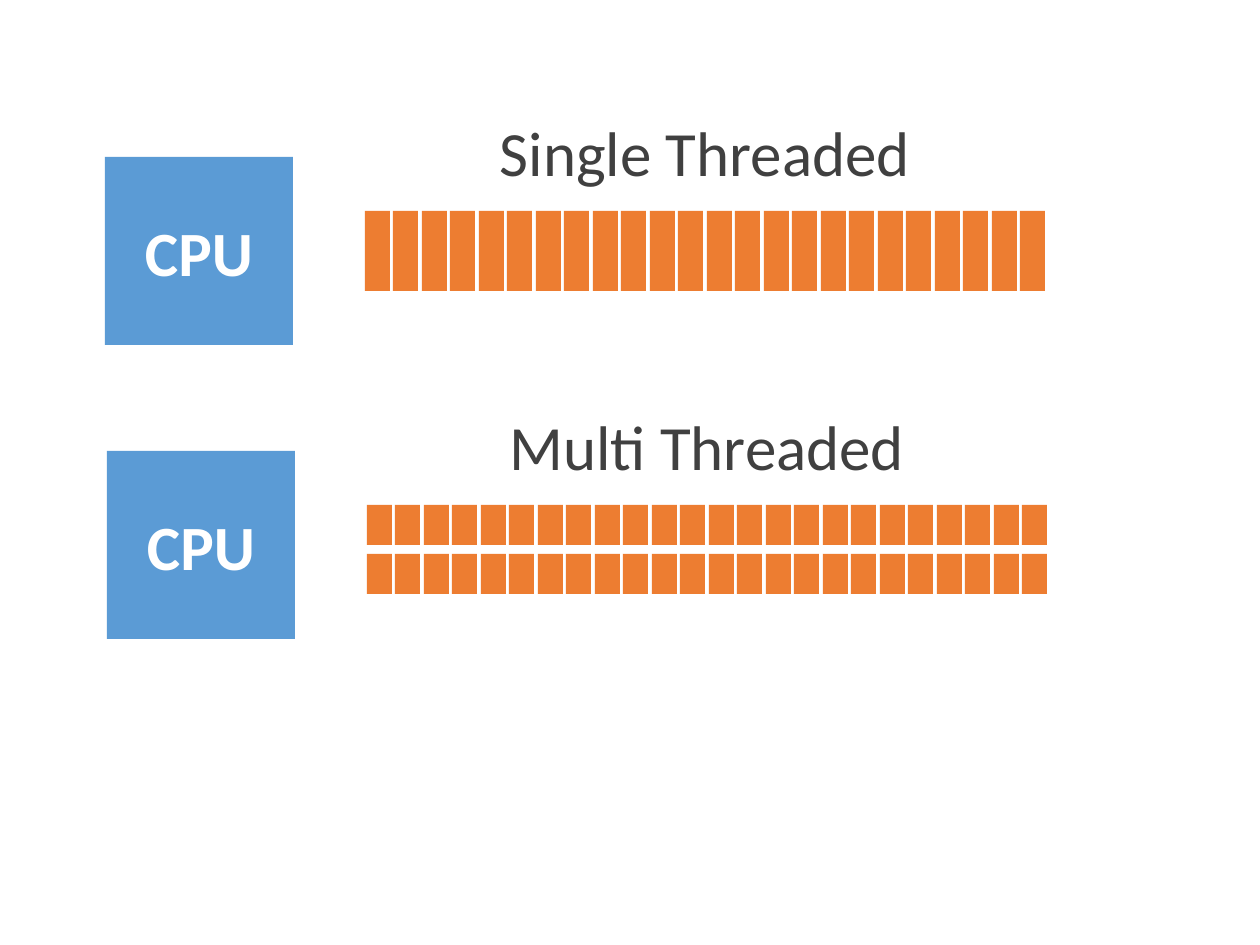
from pptx import Presentation
from pptx.enum import shapes, text
from pptx.dml.color import RGBColor
from pptx import util as u

PX = u.Inches(1) / 126
COLORS = {"cpu": "5B9BD5", "slot": "ED7D31", "label": "404040", "white": "FFFFFF"}
CPU_SIZE = 188
TRACK_W = 680
SLOT_W = 25
SLOTS = 24


def px(*lengths):
    """Turn pixel lengths into EMU."""
    return [u.Emu(round(n * PX)) for n in lengths]


def write(sp, content, *, color, size=36, bold=False, anchor=text.MSO_ANCHOR.TOP,
          line=None, before=None):
    """Put one centred, formatted paragraph into a shape."""
    tf = sp.text_frame
    tf.word_wrap = True
    tf.vertical_anchor = anchor
    p = tf.paragraphs[0]
    p.alignment = text.PP_ALIGN.CENTER
    p.line_spacing = line
    p.space_before = before
    r = p.add_run()
    r.text = content
    r.font.name = "Calibri"
    r.font.size = u.Pt(size)
    r.font.bold = bold
    r.font.color.rgb = RGBColor.from_string(COLORS[color])


def box(parent, x, y, w, h, color):
    """Add a flat filled rectangle."""
    sp = parent.add_shape(shapes.MSO_SHAPE.RECTANGLE, *px(x, y, w, h))
    sp.shadow.inherit = False
    sp.fill.solid()
    sp.fill.fore_color.rgb = RGBColor.from_string(COLORS[color])
    sp.line.fill.background()
    return sp


def track(parent, x, y, h):
    """Add a row of evenly spaced time slots."""
    for i in range(SLOTS):
        left = x + round(i * (TRACK_W - SLOT_W) / (SLOTS - 1))
        box(parent, left, y, SLOT_W, h, "slot")


def panel(slide, x, y, title, rows, slot_h, pitch=0):
    """Add a CPU with its label and grouped thread tracks."""
    cpu = box(slide.shapes, x, y, CPU_SIZE, CPU_SIZE, "cpu")
    write(cpu, "CPU", color="white", bold=True, anchor=text.MSO_ANCHOR.MIDDLE)
    left = x + 260
    group = slide.shapes.add_group_shape()
    for row in range(rows):
        track(group.shapes, left, y + 54 + row * pitch, slot_h)
    label = slide.shapes.add_textbox(*px(left, y - 41, TRACK_W, 74))
    write(label, title, color="label", line=0.9, before=u.Pt(10))


def main():
    """Build the slide and save it."""
    prs = Presentation()
    prs.slide_width, prs.slide_height = u.Inches(10), u.Inches(7.5)
    slide = prs.slides.add_slide(prs.slide_layouts[6])
    panel(slide, 105, 157, "Single Threaded", rows=1, slot_h=80)
    panel(slide, 107, 451, "Multi Threaded", rows=2, slot_h=40, pitch=49)
    prs.save("out.pptx")


if __name__ == "__main__":
    main()
